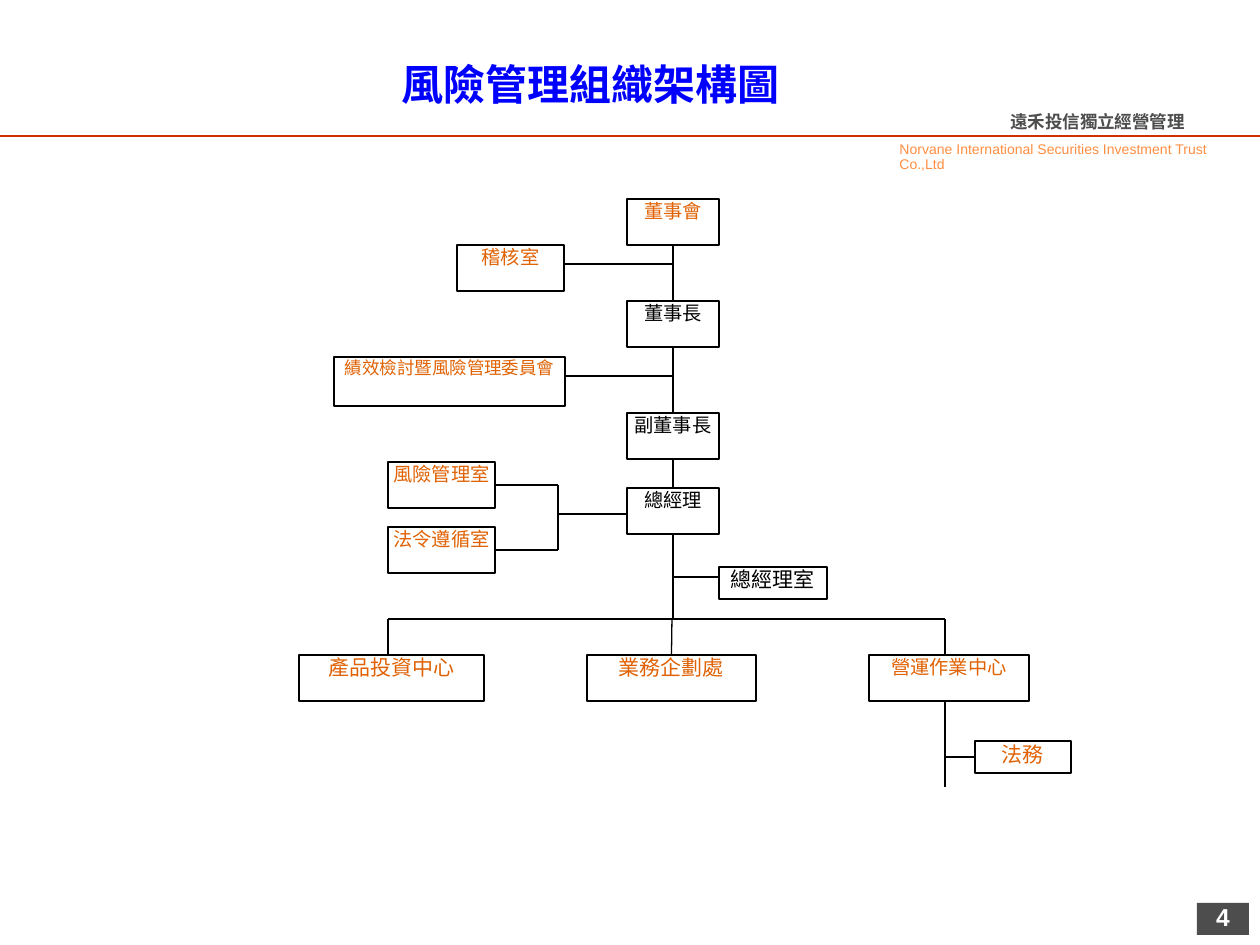
"""Build a risk management organisation chart slide."""
from lxml.etree import SubElement
from pptx import Presentation
from pptx.dml.color import RGBColor
from pptx.enum.shapes import MSO_CONNECTOR as CONN, MSO_SHAPE as SHAPE
from pptx.enum.text import MSO_ANCHOR as ANCHOR, PP_ALIGN as ALIGN
from pptx.oxml.ns import qn
from pptx.util import Emu, Pt

COLORS = {"orange": "E06204", "black": "000000", "white": "FFFFFF", "blue": "0000FF",
          "gray": "4D4D4D", "rule": "CC3300", "peach": "FF8E41"}
SERIF = "Times New Roman"
TOP, LEFT, BOTTOM, RIGHT = 0, 1, 2, 3
TRUNK, BUS, BRACKET = 673, 619, 558
BRANCHES = (388, 672, 945)

HEADINGS = [
    ("風險管理組織架構圖", (389, 52, 413, 63), 24, "Noto Sans CJK SC", "blue", True, False, 1),
    ("遠禾投信獨立經營管理", (998, 105, 262, 34), 10, SERIF, "gray", True, True, 1),
    ("Norvane International Securities Investment Trust Co.,Ltd",
     (887, 136, 373, 28), 8, "Arial", "peach", False, False, 0.9),
]
BOXES = [
    ("董事會", (627, 199, 92, 46), 11, "orange"),
    ("董事長", (627, 301, 92, 46), 11, "black"),
    ("副董事長", (627, 413, 92, 46), 11, "black"),
    ("總經理", (627, 488, 92, 46), 11, "black"),
    ("稽核室", (457, 245, 107, 46), 11, "orange"),
    ("績效檢討暨風險管理委員會", (334, 357, 231, 49), 10, "orange"),
    ("風險管理室", (388, 462, 107, 46), 11, "orange"),
    ("法令遵循室", (388, 527, 107, 46), 11, "orange"),
    ("總經理室", (719, 567, 108, 32), 12, "black"),
    ("產品投資中心", (299, 655, 185, 46), 12, "orange"),
    ("業務企劃處", (587, 655, 169, 46), 12, "orange"),
    ("營運作業中心", (869, 655, 160, 46), 11, "orange"),
    ("法務", (975, 741, 96, 32), 12, "orange"),
]
CHAIN = ["董事會", "董事長", "副董事長", "總經理"]
BRACKETED = ["風險管理室", "法令遵循室"]
LINES = [
    (565, 264, TRUNK, 264),
    (566, 376, TRUNK, 376),
    (BRACKET, 485, BRACKET, 550),
    (BRACKET, 514, 627, 514),
    (TRUNK, 577, 719, 577),
    (BRANCHES[0], BUS, BRANCHES[-1], BUS),
    (BRANCHES[0], BUS, BRANCHES[0], 655),
    (BRANCHES[-1], BUS, BRANCHES[-1], 655),
    (BRANCHES[-1], 701, BRANCHES[-1], 787),
]


def px(n):
    return Emu(round(n * 914400 / 126))


def rgb(name):
    return RGBColor.from_string(COLORS[name])


def write(sp, text, size, font, color, bold=False, align=ALIGN.LEFT, spacing=1):
    p = sp.text_frame.paragraphs[0]
    p.text = text
    p.alignment = align
    p.line_spacing = spacing
    f = p.runs[0].font
    f.size, f.name, f.bold = Pt(size), font, bold
    f.color.rgb = rgb(color)


def add_rect(s, place, fill, line=None):
    sp = s.shapes.add_shape(SHAPE.RECTANGLE, *map(px, place))
    sp.shadow.inherit = False
    sp.fill.solid()
    sp.fill.fore_color.rgb = rgb(fill)
    if line:
        sp.line.color.rgb = rgb(line)
        sp.line.width = Pt(1.5)
    else:
        sp.line.fill.background()
    return sp


def add_box(s, text, place, size, color):
    sp = add_rect(s, place, "white", "black")
    tf = sp.text_frame
    tf.margin_left = tf.margin_right = tf.margin_top = tf.margin_bottom = 0
    tf.vertical_anchor = ANCHOR.TOP
    tf.word_wrap = True
    write(sp, text, size, SERIF, color, align=ALIGN.CENTER)
    return sp


def add_line(s, ends, color="black", begin=None, end=None):
    c = s.shapes.add_connector(CONN.STRAIGHT, *map(px, ends))
    c.line.color.rgb = rgb(color)
    c.line.width = Pt(0.75)
    SubElement(c._element.spPr, qn("a:effectLst"))
    if begin:
        c.begin_connect(*begin)
    if end:
        c.end_connect(*end)


def main():
    prs = Presentation()
    prs.slide_width, prs.slide_height = px(1260), px(945)
    s = prs.slides.add_slide(prs.slide_layouts[6])

    add_line(s, (0, 136, 1260, 136), "rule")
    number = add_rect(s, (1197, 903, 52, 32), "gray")
    number.text_frame.vertical_anchor = ANCHOR.MIDDLE
    write(number, "4", 14, "Arial", "white", True, ALIGN.CENTER, 0.8)
    for text, place, size, font, color, bold, wrap, spacing in HEADINGS:
        sp = s.shapes.add_textbox(*map(px, place))
        sp.text_frame.word_wrap = wrap
        write(sp, text, size, font, color, bold, spacing=spacing)

    boxes = {box[0]: add_box(s, *box) for box in BOXES}
    places = {box[0]: box[1] for box in BOXES}

    for ends in LINES:
        add_line(s, ends)
    for upper, lower in zip(CHAIN, CHAIN[1:]):
        add_line(s, (TRUNK, places[upper][1], TRUNK, places[lower][1]),
                 begin=(boxes[upper], BOTTOM), end=(boxes[lower], TOP))
    for name in BRACKETED:
        x, y, w, h = places[name]
        add_line(s, (x + w, y + h // 2, BRACKET, y + h // 2), begin=(boxes[name], RIGHT))
    add_line(s, (TRUNK, 534, TRUNK, BUS), begin=(boxes["總經理"], BOTTOM))
    add_line(s, (BRANCHES[1], BUS, BRANCHES[1], 655), end=(boxes["業務企劃處"], TOP))
    add_line(s, (BRANCHES[-1], 757, 975, 757), end=(boxes["法務"], LEFT))

    prs.save("out.pptx")


if __name__ == "__main__":
    main()
